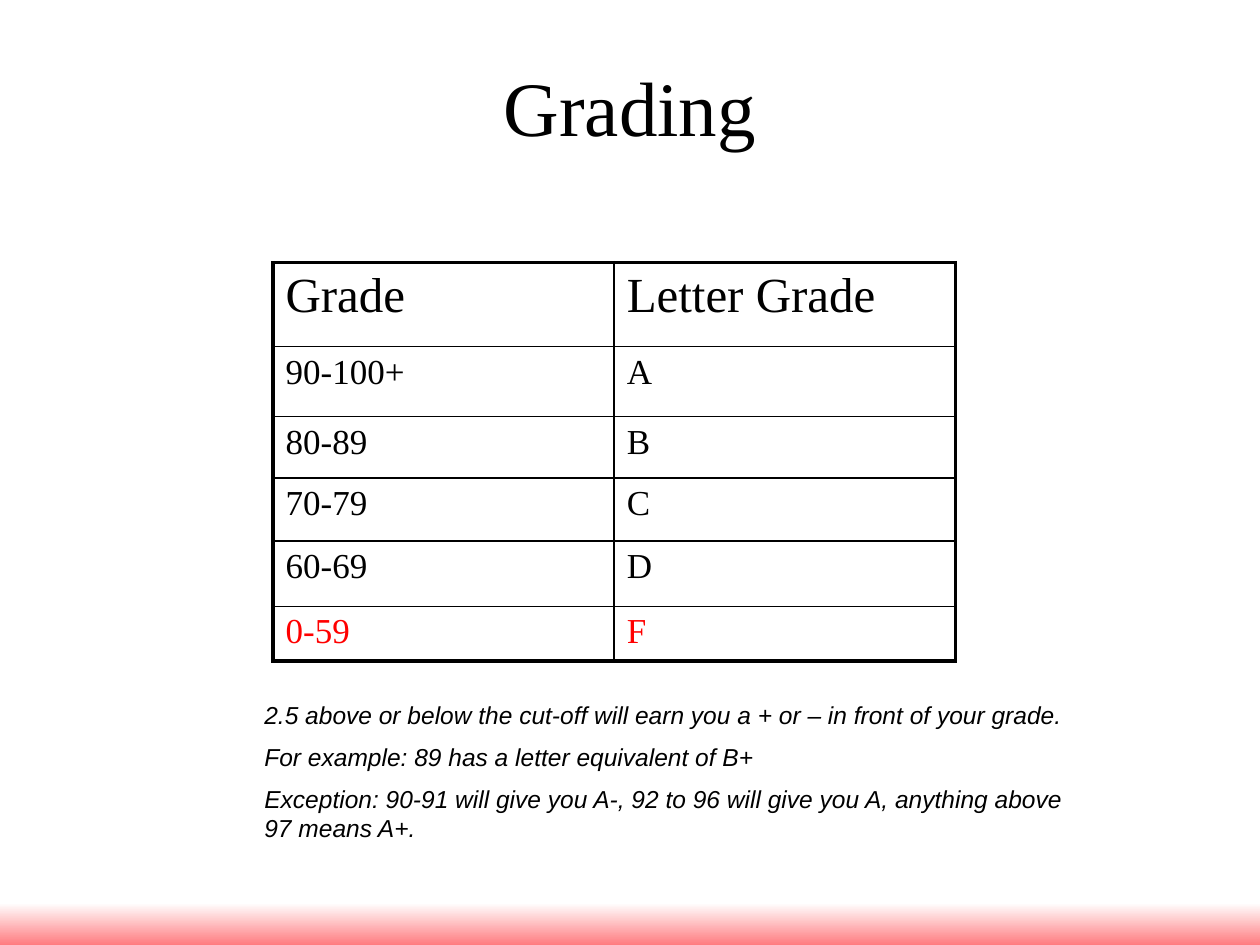
from pptx import Presentation
from pptx.dml.color import RGBColor
from pptx.enum.shapes import MSO_SHAPE as Shape
from pptx.enum.text import MSO_ANCHOR as Anchor, PP_ALIGN as Align
from pptx.oxml.ns import qn
from pptx.util import Pt
from lxml.etree import SubElement

BLACK = RGBColor(0x00, 0x00, 0x00)
RED = RGBColor(0xFF, 0x00, 0x00)
WHITE = RGBColor(0xFF, 0xFF, 0xFF)
CORAL = RGBColor(0xFF, 0x7C, 0x80)
SERIF, SANS = "Times New Roman", "Arial"
THIN, THICK = 1, 2.25

GRADES = [
    ("Grade", "Letter Grade"),
    ("90-100+", "A"),
    ("80-89", "B"),
    ("70-79", "C"),
    ("60-69", "D"),
    ("0-59", "F"),
]
ROW_HEIGHTS = [48, 40, 35.25, 36, 37.25, 31]
NOTES = [
    "2.5 above or below the cut-off will earn you a + or – in front of your grade.",
    "For example: 89 has a letter equivalent of B+",
    "Exception: 90-91 will give you A-, 92 to 96 will give you A, anything above 97 means A+.",
]


def write_text(paragraph, text, *, size, font=SERIF, color=BLACK, italic=False,
               align=Align.LEFT, before=0, line=None):
    """Write one formatted run into a paragraph."""
    paragraph.alignment = align
    paragraph.space_before = Pt(before)
    if line:
        paragraph.line_spacing = Pt(line)
    run = paragraph.add_run()
    run.text = text
    run.font.size = Pt(size)
    run.font.name = font
    run.font.italic = italic
    run.font.color.rgb = color


def set_borders(cell, widths):
    """Draw solid black cell borders from a mapping of side to width."""
    properties = cell._tc.get_or_add_tcPr()
    for index, (side, width) in enumerate(widths.items()):
        border = properties.makeelement(qn(f"a:ln{side}"), {"w": str(Pt(width))})
        fill = SubElement(border, qn("a:solidFill"))
        SubElement(fill, qn("a:srgbClr"), val=str(BLACK))
        properties.insert(index, border)


def add_footer_band(slide, left, top, width, height):
    """Add the band that fades from white to coral."""
    band = slide.shapes.add_shape(Shape.RECTANGLE, Pt(left), Pt(top), Pt(width), Pt(height))
    band.shadow.inherit = False
    band.line.fill.background()
    band.fill.gradient()
    band.fill.gradient_angle = 270
    for stop, color, position in zip(band.fill.gradient_stops, (WHITE, CORAL), (0, 1)):
        stop.color.rgb = color
        stop.position = position


def add_title(slide, left, top, width, height):
    """Add the centred slide heading."""
    frame = slide.shapes.add_textbox(Pt(left), Pt(top), Pt(width), Pt(height)).text_frame
    frame.word_wrap = True
    frame.vertical_anchor = Anchor.TOP
    frame.margin_top = Pt(12.5)
    write_text(frame.paragraphs[0], "Grading", size=44, align=Align.CENTER)


def add_grade_table(slide, left, top, width):
    """Add the grade scale with a heavy outer frame."""
    last_row, last_column = len(GRADES) - 1, len(GRADES[0]) - 1
    table = slide.shapes.add_table(len(GRADES), len(GRADES[0]), Pt(left), Pt(top),
                                   Pt(width), Pt(sum(ROW_HEIGHTS))).table
    table.first_row = table.horz_banding = False
    for r, (grades, height) in enumerate(zip(GRADES, ROW_HEIGHTS)):
        table.rows[r].height = Pt(height)
        for c, grade in enumerate(grades):
            cell = table.cell(r, c)
            cell.fill.background()
            write_text(cell.text_frame.paragraphs[0], grade, size=20 if r else 28,
                       color=RED if r == last_row else BLACK)
            set_borders(cell, {
                "L": THICK if c == 0 else THIN,
                "R": THICK if c == last_column else THIN,
                "T": THICK if r == 0 else THIN,
                "B": THICK if r == last_row else THIN,
            })


def add_notes(slide, left, top, width, height):
    """Add the remarks on plus and minus grades."""
    frame = slide.shapes.add_textbox(Pt(left), Pt(top), Pt(width), Pt(height)).text_frame
    frame.word_wrap = True
    for index, note in enumerate(NOTES):
        paragraph = frame.add_paragraph() if index else frame.paragraphs[0]
        write_text(paragraph, note, size=14, font=SANS, italic=True,
                   before=7 if index else 0, line=17)


def main():
    """Build the grading slide and save it."""
    deck = Presentation()
    deck.slide_width, deck.slide_height = Pt(720), Pt(540)
    slide = deck.slides.add_slide(deck.slide_layouts[6])
    add_footer_band(slide, 0, 516, 720, 24)
    add_title(slide, 36, 21.6, 648, 90)
    add_grade_table(slide, 156, 150, 390)
    add_notes(slide, 144, 396, 474, 90.7)
    deck.save("out.pptx")


if __name__ == "__main__":
    main()
